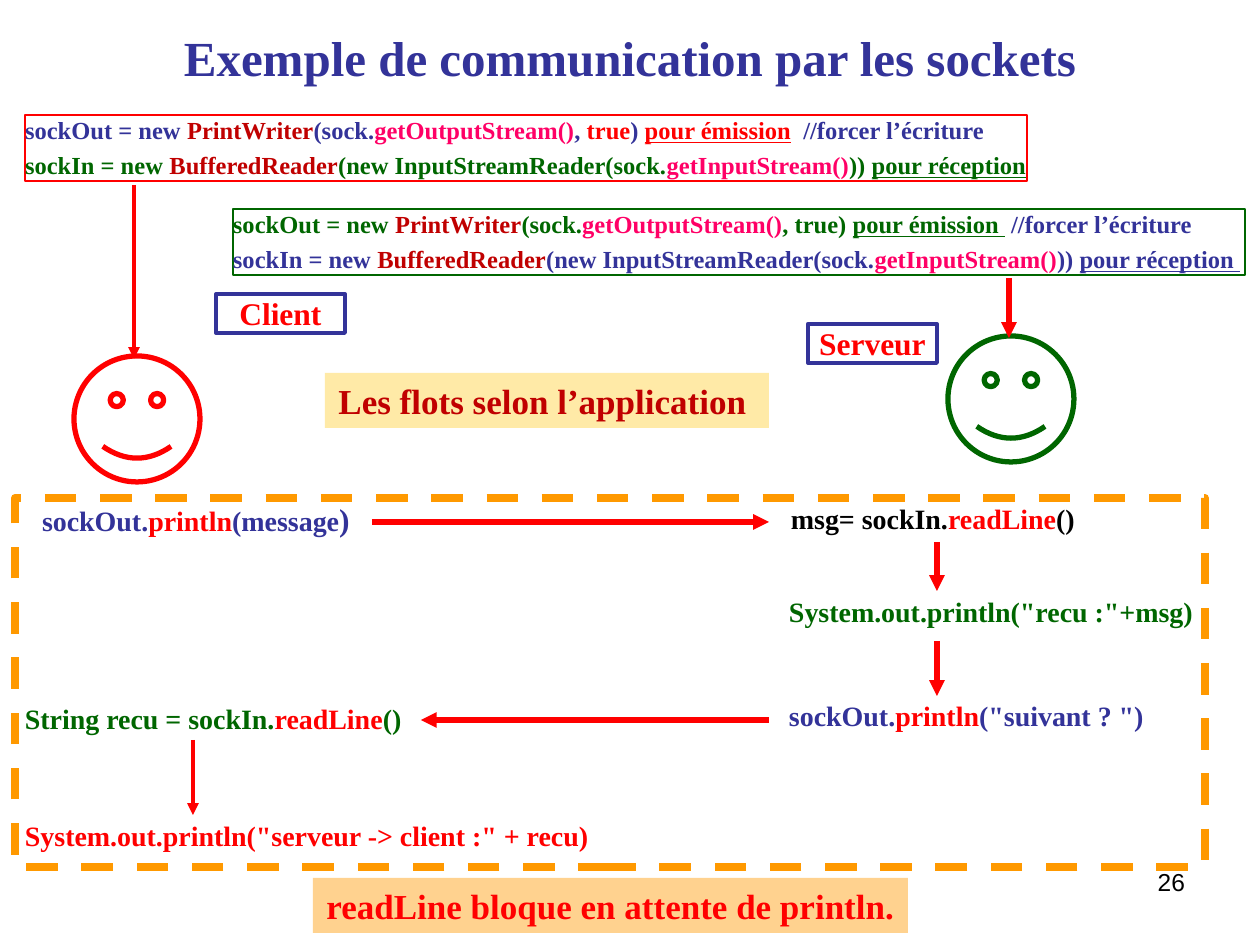
"""Build the slide on client and server communication through sockets."""
from typing import NamedTuple, Optional

from lxml.etree import SubElement
from pptx import Presentation
from pptx.dml.color import RGBColor
from pptx.enum.dml import MSO_LINE_DASH_STYLE as Dash
from pptx.enum.shapes import MSO_CONNECTOR as Connector, MSO_SHAPE as Preset
from pptx.enum.text import MSO_ANCHOR as Anchor, MSO_AUTO_SIZE as AutoSize, PP_ALIGN as Align
from pptx.oxml.ns import qn
from pptx.util import Emu, Pt

PIXEL = 914400 // 126
SERIF = "Times New Roman"
COLORS = {
    "blue": "333399", "red": "FF0000", "green": "006600", "black": "000000",
    "dark red": "C00000", "pink": "FF0066", "orange": "FF9900",
    "cream": "FFEAA7", "peach": "FFD28F",
}


class Run(NamedTuple):
    text: str
    color: str
    underline: bool = False
    size: Optional[float] = None


class Box(NamedTuple):
    left: int
    top: int
    width: int
    height: int


class Code(NamedTuple):
    box: Box
    runs: list[Run]


class Panel(NamedTuple):
    box: Box
    paragraphs: list[list[Run]]
    size: float
    line: Optional[str] = None
    weight: float = 0
    fill: Optional[str] = None
    align: Align = Align.CENTER
    gap: float = 0.23
    inset: tuple[int, int] = (0, 0)


class Arrow(NamedTuple):
    start: tuple[int, int]
    end: tuple[int, int]
    weight: float = 3


def px(value: float) -> Emu:
    return Emu(int(value * PIXEL))


def rgb(name: str) -> RGBColor:
    return RGBColor.from_string(COLORS[name])


def place(box: Box) -> list[Emu]:
    return [px(value) for value in box]


def write(frame, paragraphs: list[list[Run]], *, size: float, font: str = SERIF,
          bold: bool = True, align: Align = Align.LEFT, gap: float = 0.23,
          inset: tuple[int, int] = (0, 0), anchor: Anchor = Anchor.TOP, wrap: bool = True) -> None:
    frame.word_wrap = wrap
    frame.auto_size = AutoSize.NONE
    frame.vertical_anchor = anchor
    frame.margin_left = frame.margin_right = px(inset[0])
    frame.margin_top = frame.margin_bottom = px(inset[1])
    for index, runs in enumerate(paragraphs):
        paragraph = frame.add_paragraph() if index else frame.paragraphs[0]
        paragraph.alignment = align
        paragraph.space_before = Pt(size * gap)
        for item in runs:
            run = paragraph.add_run()
            run.text = item.text
            run.font.name = font
            run.font.size = Pt(item.size or size)
            run.font.bold = bold
            run.font.underline = item.underline
            run.font.color.rgb = rgb(item.color)


def add_preset(slide, preset: Preset, box: Box, *, line: Optional[str] = None,
               weight: float = 0, fill: Optional[str] = None):
    shape = slide.shapes.add_shape(preset, *place(box))
    shape.shadow.inherit = False
    if fill:
        shape.fill.solid()
        shape.fill.fore_color.rgb = rgb(fill)
    else:
        shape.fill.background()
    if line:
        shape.line.color.rgb = rgb(line)
        shape.line.width = Pt(weight)
    else:
        shape.line.fill.background()
    return shape


def add_panel(slide, panel: Panel) -> None:
    shape = add_preset(slide, Preset.RECTANGLE, panel.box, line=panel.line,
                       weight=panel.weight, fill=panel.fill)
    write(shape.text_frame, panel.paragraphs, size=panel.size, align=panel.align,
          gap=panel.gap, inset=panel.inset)


def add_arrow(slide, arrow: Arrow) -> None:
    connector = slide.shapes.add_connector(
        Connector.STRAIGHT, *[px(value) for value in arrow.start + arrow.end])
    connector.line.color.rgb = rgb("red")
    connector.line.width = Pt(arrow.weight)
    properties = connector.element.spPr
    SubElement(properties.find(qn("a:ln")), qn("a:tailEnd"), type="triangle")
    SubElement(properties, qn("a:effectLst"))


def stream_lines(output: str, source: str, flag: list[Run], sending: Run) -> list[list[Run]]:
    return [
        [Run("sockOut = new ", output), Run("PrintWriter", "dark red"), Run("(sock.", output),
         Run("getOutputStream()", "pink"), *flag, sending, Run(" //forcer l’écriture ", "blue")],
        [Run("sockIn = new ", source), Run("BufferedReader", "dark red"),
         Run("(new InputStreamReader(sock.", source), Run("getInputStream()", "pink"),
         Run(")) ", source), Run("pour réception ", source, True)],
    ]


CLIENT_STREAMS = stream_lines(
    "blue", "green", [Run(", ", "blue"), Run("true", "red"), Run(") ", "blue")],
    Run("pour émission", "red", True))
CLIENT_STREAMS[0].insert(-1, Run(" ", "red"))
SERVER_STREAMS = stream_lines(
    "green", "blue", [Run(", true) ", "green")], Run("pour émission ", "green", True))

PANELS = [
    Panel(Box(25, 115, 1002, 66), CLIENT_STREAMS, 14, "red", 1.5, align=Align.LEFT),
    Panel(Box(233, 209, 1012, 66), SERVER_STREAMS, 14, "green", 1.5, align=Align.LEFT),
    Panel(Box(216, 294, 129, 39), [[Run("Client", "red")]], 18, "blue", 2.25, gap=0),
    Panel(Box(808, 324, 129, 39), [[Run("Serveur", "red")]], 18, "blue", 2.25, gap=0),
    Panel(Box(325, 373, 444, 55), [[Run("Les flots selon l’application ", "dark red")]],
          20, fill="cream", inset=(12, 6)),
    Panel(Box(313, 878, 595, 55), [[Run("readLine bloque en attente de println.", "red")]],
          20, fill="peach", inset=(12, 6)),
]
CODES = [
    Code(Box(42, 500, 321, 38), [Run("sockOut.", "blue"), Run("println", "red"),
                                 Run("(message", "blue"), Run(")", "blue", size=18)]),
    Code(Box(791, 502, 292, 34), [Run("msg= sockIn.", "black"), Run("readLine", "red"),
                                  Run("()", "black")]),
    Code(Box(789, 595, 446, 34), [Run('System.out.println("recu :"+msg)', "green")]),
    Code(Box(789, 699, 446, 34), [Run("sockOut.", "blue"), Run("println", "red"),
                                  Run('("suivant ? ")', "blue")]),
    Code(Box(25, 702, 630, 34), [Run("String recu = sockIn.", "green"), Run("readLine", "red"),
                                 Run("()", "green")]),
    Code(Box(25, 819, 630, 34),
         [Run('System.out.println("serveur -> client :" + recu)', "red")]),
]
ARROWS = [
    Arrow((134, 185), (134, 359), 2.25), Arrow((1009, 278), (1009, 338)),
    Arrow((372, 522), (769, 522)), Arrow((937, 542), (937, 591)),
    Arrow((937, 641), (937, 696)), Arrow((769, 720), (421, 720)),
    Arrow((193, 740), (193, 815), 2.25),
]
FACES = [(Box(74, 356, 126, 126), "red"), (Box(948, 336, 126, 126), "green")]


def main() -> None:
    presentation = Presentation()
    presentation.slide_width, presentation.slide_height = px(1260), px(945)
    slide = presentation.slides.add_slide(presentation.slide_layouts[5])
    title = slide.shapes.title
    title.left, title.top, title.width, title.height = place(Box(63, 18, 1134, 77))
    write(title.text_frame, [[Run("Exemple de communication par les sockets", "blue")]],
          size=28, align=Align.CENTER, gap=0, inset=(12, 6), anchor=Anchor.MIDDLE)
    number = slide.shapes.add_textbox(*place(Box(903, 861, 294, 66)))
    write(number.text_frame, [[Run("26", "black")]], size=14, font="Arial", bold=False,
          align=Align.RIGHT, gap=0, inset=(12, 6))
    for box, color in FACES:
        add_preset(slide, Preset.SMILEY_FACE, box, line=color, weight=3)
    for code in CODES:
        text_box = slide.shapes.add_textbox(*place(code.box))
        write(text_box.text_frame, [code.runs], size=16)
    exchange = add_preset(slide, Preset.RECTANGLE, Box(15, 498, 1190, 369),
                          line="orange", weight=4.5)
    exchange.line.dash_style = Dash.DASH
    for panel in PANELS:
        add_panel(slide, panel)
    for arrow in ARROWS:
        add_arrow(slide, arrow)
    presentation.save("out.pptx")


main()
